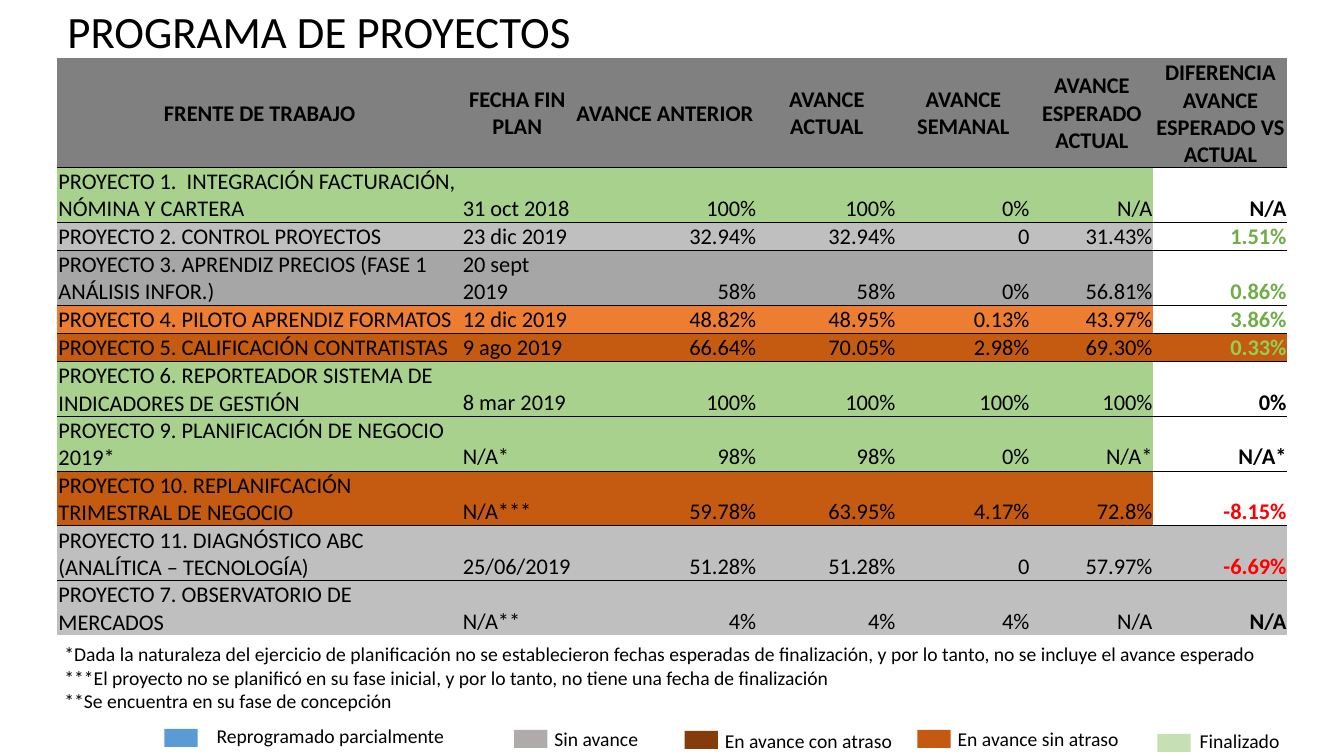
from lxml import etree
from pptx import Presentation
from pptx.dml.color import RGBColor
from pptx.enum.shapes import MSO_SHAPE
from pptx.enum.text import MSO_ANCHOR, PP_ALIGN
from pptx.oxml.ns import qn
from pptx.util import Inches, Pt

RECT = MSO_SHAPE.RECTANGLE
LEFT, CENTER, RIGHT = PP_ALIGN.LEFT, PP_ALIGN.CENTER, PP_ALIGN.RIGHT
MIDDLE, BOTTOM = MSO_ANCHOR.MIDDLE, MSO_ANCHOR.BOTTOM

COLORS = {
    "black": "000000", "white": "FFFFFF", "head": "808080",
    "done": "A9D18E", "silver": "BFBFBF", "gray": "A6A6A6",
    "orange": "ED7D31", "rust": "C55A11",
    "good": "70AD47", "lime": "92D050", "bad": "FF0000",
    "blue": "5B9BD5", "idle": "AFABAB", "late": "843C0B",
    "active": "C65911", "ended": "C6E0B4",
}

WIDTHS = [4.01, 1.1, 1.83, 1.38, 1.33, 1.22, 1.33]
HEAD_H, ONE_H, TWO_H = 1.08, 0.28, 0.54
HEADS = ["FRENTE DE TRABAJO", "FECHA FIN PLAN", "AVANCE ANTERIOR", "AVANCE ACTUAL",
         "AVANCE SEMANAL", "AVANCE ESPERADO ACTUAL",
         "DIFERENCIA AVANCE ESPERADO VS ACTUAL"]

# Height, row fill, fill of last cell, font colour of last cell, texts
ROWS = [
    (TWO_H, "done", "white", "black",
     ["PROYECTO 1.  INTEGRACIÓN FACTURACIÓN, NÓMINA Y CARTERA ", "31 oct 2018",
      "100%", "100%", "0%", "N/A", "N/A"]),
    (ONE_H, "silver", "white", "good",
     ["PROYECTO 2. CONTROL PROYECTOS", "23 dic 2019",
      "32.94%", "32.94%", "0", "31.43%", "1.51%"]),
    (TWO_H, "gray", "white", "good",
     ["PROYECTO 3. APRENDIZ PRECIOS (FASE 1 ANÁLISIS INFOR.)", "20 sept 2019",
      "58%", "58%", "0%", "56.81%", "0.86%"]),
    (ONE_H, "orange", "white", "good",
     ["PROYECTO 4. PILOTO APRENDIZ FORMATOS", "12 dic 2019",
      "48.82%", "48.95%", "0.13%", "43.97%", "3.86%"]),
    (ONE_H, "rust", "rust", "lime",
     ["PROYECTO 5. CALIFICACIÓN CONTRATISTAS", "9 ago 2019",
      "66.64%", "70.05%", "2.98%", "69.30%", "0.33%"]),
    (TWO_H, "done", "white", "black",
     ["PROYECTO 6. REPORTEADOR SISTEMA DE INDICADORES DE GESTIÓN", "8 mar 2019",
      "100%", "100%", "100%", "100%", "0%"]),
    (TWO_H, "done", "white", "black",
     ["PROYECTO 9. PLANIFICACIÓN DE NEGOCIO 2019*", "N/A*",
      "98%", "98%", "0%", "N/A*", "N/A*"]),
    (TWO_H, "rust", "white", "bad",
     ["PROYECTO 10. REPLANIFCACIÓN TRIMESTRAL DE NEGOCIO", "N/A***",
      "59.78%", "63.95%", "4.17%", "72.8%", "-8.15%"]),
    (TWO_H, "silver", "silver", "bad",
     ["PROYECTO 11. DIAGNÓSTICO ABC (ANALÍTICA – TECNOLOGÍA)", "25/06/2019",
      "51.28%", "51.28%", "0", "57.97%", "-6.69%"]),
    (TWO_H, "silver", "silver", "black",
     ["PROYECTO 7. OBSERVATORIO DE MERCADOS", "N/A**",
      "4%", "4%", "4%", "N/A", "N/A"]),
]

NOTES = [
    "*Dada la naturaleza del ejercicio de planificación no se establecieron fechas "
    "esperadas de finalización, y por lo tanto, no se incluye el avance esperado",
    "***El proyecto no se planificó en su fase inicial, y por lo tanto, "
    "no tiene una fecha de finalización",
    "**Se encuentra en su fase de concepción",
]

# Swatch left and top, label left, top and width, colour, label
LEGEND = [
    (1.63, 7.23, 2.05, 7.13, 2.97, "blue", "Reprogramado parcialmente"),
    (5.1, 7.24, 5.4, 7.16, 1.3, "idle", "Sin avance"),
    (6.79, 7.25, 7.09, 7.18, 1.93, "late", "En avance con atraso"),
    (9.1, 7.24, 9.4, 7.16, 1.93, "active", "En avance sin atraso"),
    (11.48, 7.28, 11.8, 7.18, 1.02, "ended", "Finalizado"),
]


def rgb(name):
    """Return the named colour."""
    return RGBColor.from_string(COLORS[name])


class Board:
    """Holds the style and the current slide."""

    font = "Calibri"

    def __init__(self, slide):
        """Keep the slide to draw on."""
        self.slide = slide

    def style(self, para, size, color="black", bold=False, align=LEFT):
        """Format a paragraph and its runs."""
        para.alignment = align
        for run in para.runs:
            run.font.name = self.font
            run.font.size = Pt(size)
            run.font.bold = bold
            run.font.color.rgb = rgb(color)

    def text(self, x, y, w, h, lines, size):
        """Add a text box with one paragraph per line."""
        box = self.slide.shapes.add_textbox(Inches(x), Inches(y), Inches(w), Inches(h))
        frame = box.text_frame
        frame.word_wrap = True
        frame.text = "\n".join(lines)
        for para in frame.paragraphs:
            self.style(para, size)

    def swatch(self, x, y, color):
        """Add a legend rectangle."""
        shape = self.slide.shapes.add_shape(RECT, Inches(x), Inches(y),
                                            Inches(0.33), Inches(0.18))
        shape.shadow.inherit = False
        shape.fill.solid()
        shape.fill.fore_color.rgb = rgb(color)
        shape.line.fill.background()

    def edges(self, cell, top, bottom):
        """Draw thin rules above and below a cell, none at its sides."""
        props = cell._tc.get_or_add_tcPr()
        sides = [("a:lnL", False), ("a:lnR", False), ("a:lnT", top), ("a:lnB", bottom)]
        for spot, (tag, shown) in enumerate(sides):
            line = etree.Element(qn(tag), w=str(Pt(0.5)))
            props.insert(spot, line)
            if shown:
                fill = etree.SubElement(line, qn("a:solidFill"))
                etree.SubElement(fill, qn("a:srgbClr"), val=COLORS["black"])
            else:
                etree.SubElement(line, qn("a:noFill"))

    def cell(self, cell, text, fill, color, bold, align, anchor):
        """Fill one table cell."""
        cell.margin_left = cell.margin_right = cell.margin_top = Inches(0.01)
        cell.margin_bottom = 0
        cell.vertical_anchor = anchor
        cell.fill.solid()
        cell.fill.fore_color.rgb = rgb(fill)
        cell.text_frame.text = text
        self.style(cell.text_frame.paragraphs[0], 16, color, bold, align)

    def table(self, x, y):
        """Add the table of projects."""
        rows = [(HEAD_H, "head", "head", "black", HEADS)] + ROWS
        high = sum(row[0] for row in rows)
        table = self.slide.shapes.add_table(
            len(rows), len(WIDTHS), Inches(x), Inches(y),
            Inches(sum(WIDTHS)), Inches(high)).table
        table.first_row = table.horz_banding = False
        for col, width in zip(table.columns, WIDTHS):
            col.width = Inches(width)
        for i, (height, fill, end_fill, end_color, texts) in enumerate(rows):
            table.rows[i].height = Inches(height)
            head = i == 0
            for j, text in enumerate(texts):
                end = j == len(texts) - 1
                align = CENTER if head else LEFT if j < 2 else RIGHT
                cell = table.cell(i, j)
                self.cell(cell, text, end_fill if end else fill,
                          end_color if end else "black", head or end,
                          align, MIDDLE if head else BOTTOM)
                self.edges(cell, not head, i < len(rows) - 1)


def main():
    """Build the slide and save it."""
    deck = Presentation()
    deck.slide_width, deck.slide_height = Inches(13.33), Inches(7.5)
    board = Board(deck.slides.add_slide(deck.slide_layouts[6]))
    board.text(0.57, -0.01, 7.78, 0.64, ["PROGRAMA DE PROYECTOS"], 32)
    board.table(0.57, 0.58)
    for x, y, left, top, width, color, label in LEGEND:
        board.swatch(x, y, color)
        board.text(left, top, width, 0.34, [label], 14)
    board.text(0.54, 6.32, 12.2, 0.81, NOTES, 14)
    deck.save("out.pptx")


main()
